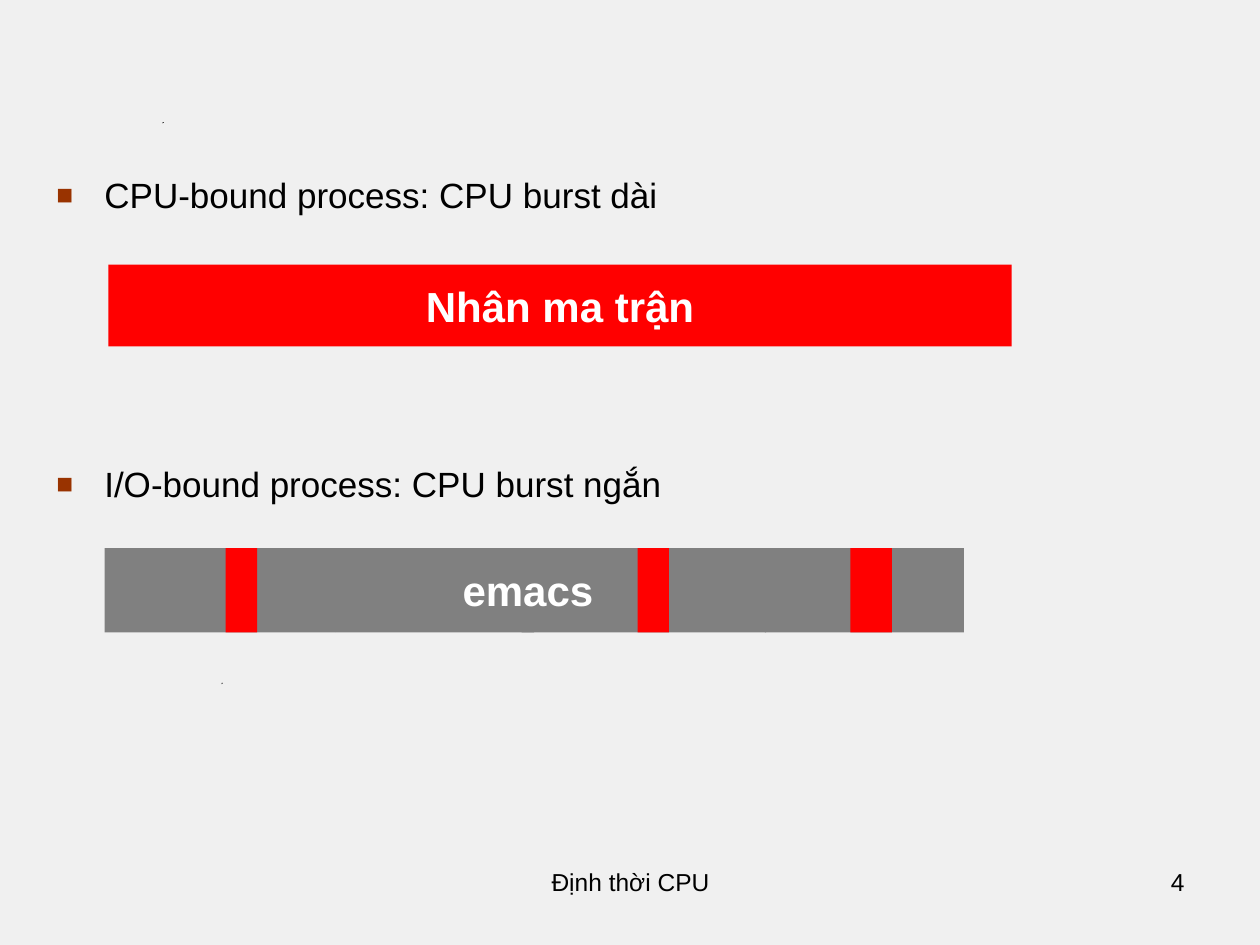
from lxml.etree import SubElement
from pptx import Presentation
from pptx.dml.color import RGBColor
from pptx.enum.shapes import MSO_SHAPE
from pptx.enum.text import MSO_ANCHOR, PP_ALIGN
from pptx.oxml.ns import qn
from pptx.util import Inches, Pt

BACKGROUND = RGBColor(0xF0, 0xF0, 0xF0)
BLACK = RGBColor(0, 0, 0)
WHITE = RGBColor(0xFF, 0xFF, 0xFF)
BURST_RED = RGBColor(0xFF, 0, 0)
WAIT_GRAY = RGBColor(0x80, 0x80, 0x80)
BULLET_BROWN = RGBColor(0x99, 0x33, 0)

BODY = {"size": Pt(20), "bold": False}
FOOTER = {"size": Pt(14), "bold": False}
BAR_LABEL = {"size": Pt(24), "bold": True}


class BurstSlide:
    font = "Arial"

    def __init__(self, slide):
        self.slide = slide
        self.shapes = slide.shapes
        fill = slide.background.fill
        fill.solid()
        fill.fore_color.rgb = BACKGROUND

    def paint(self, shape, color):
        shape.shadow.inherit = False
        shape.fill.solid()
        shape.fill.fore_color.rgb = color
        shape.line.fill.background()

    def style(self, paragraph, text, look, color, align):
        paragraph.text = text
        paragraph.alignment = align
        font = paragraph.runs[0].font
        for key, value in {"name": self.font, **look}.items():
            setattr(font, key, value)
        font.color.rgb = color

    def speck(self, points):
        builder = self.shapes.build_freeform(
            Inches(points[0][0]), Inches(points[0][1]))
        builder.add_line_segments(
            [(Inches(x), Inches(y)) for x, y in points[1:]], close=True)
        self.paint(builder.convert_to_shape(), BLACK)

    def bar(self, left, top, width, height, color):
        shape = self.shapes.add_shape(
            MSO_SHAPE.RECTANGLE, Inches(left), Inches(top),
            Inches(width), Inches(height))
        self.paint(shape, color)
        return shape

    def bar_label(self, shape, text):
        frame = shape.text_frame
        for key, value in {"word_wrap": False,
                           "vertical_anchor": MSO_ANCHOR.MIDDLE}.items():
            setattr(frame, key, value)
        self.style(frame.paragraphs[0], text, BAR_LABEL, WHITE, PP_ALIGN.CENTER)

    def text_box(self, left, top, width, height):
        return self.shapes.add_textbox(
            Inches(left), Inches(top), Inches(width), Inches(height))

    def footer(self, left, width, text, align):
        frame = self.text_box(left, 6.83, width, 0.52).text_frame
        frame.word_wrap = True
        self.style(frame.paragraphs[0], text, FOOTER, BLACK, align)

    def bullets(self, left, top, width, height, texts, gap):
        frame = self.text_box(left, top, width, height).text_frame
        frame.word_wrap = True
        frame.margin_top = Inches(0.09)
        for index, text in enumerate(texts):
            paragraph = frame.add_paragraph() if index else frame.paragraphs[0]
            self.add_bullet(paragraph)
            self.style(paragraph, text, BODY, BLACK, PP_ALIGN.LEFT)
            if index:
                paragraph.space_before = Pt(gap)

    def add_bullet(self, paragraph):
        properties = paragraph._p.get_or_add_pPr()
        properties.set("marL", str(Inches(0.38)))
        properties.set("indent", str(-Inches(0.38)))
        color = SubElement(properties, qn("a:buClr"))
        SubElement(color, qn("a:srgbClr"), val=str(BULLET_BROWN))
        SubElement(properties, qn("a:buSzPct"), val="80000")
        SubElement(properties, qn("a:buFont"), typeface=self.font)
        SubElement(properties, qn("a:buChar"), char="■")


def main():
    deck = Presentation()
    deck.slide_width, deck.slide_height = Inches(10), Inches(7.5)
    page = BurstSlide(deck.slides.add_slide(deck.slide_layouts[6]))

    page.speck([(1.76, 5.43), (1.77, 5.42), (1.76, 5.42)])
    page.speck([(1.29, 0.98), (1.3, 0.97), (1.29, 0.97)])
    page.footer(3.42, 3.17, "Định thời CPU", PP_ALIGN.CENTER)
    page.footer(7.17, 2.33, "4", PP_ALIGN.RIGHT)
    page.bullets(0.35, 1.29, 9.23, 5.45,
                 ["CPU-bound process: CPU burst dài",
                  "I/O-bound process: CPU burst ngắn"], gap=141)

    matrix_bar = page.bar(0.86, 2.1, 7.17, 0.65, BURST_RED)
    page.bar_label(matrix_bar, "Nhân ma trận")

    page.shapes = page.slide.shapes.add_group_shape().shapes
    waits = [(0.83, 1.83), (2.66, 1.58), (4.14, 1.94), (6.07, 1.58)]
    bursts = [(1.79, 0.25), (5.06, 0.25), (6.75, 0.33)]
    for color, spans in ((WAIT_GRAY, waits), (BURST_RED, bursts)):
        for left, width in spans:
            page.bar(left, 4.35, width, 0.67, color)
    page.bar_label(page.text_box(3.57, 4.43, 1.24, 0.5), "emacs")

    deck.save("out.pptx")


if __name__ == "__main__":
    main()
